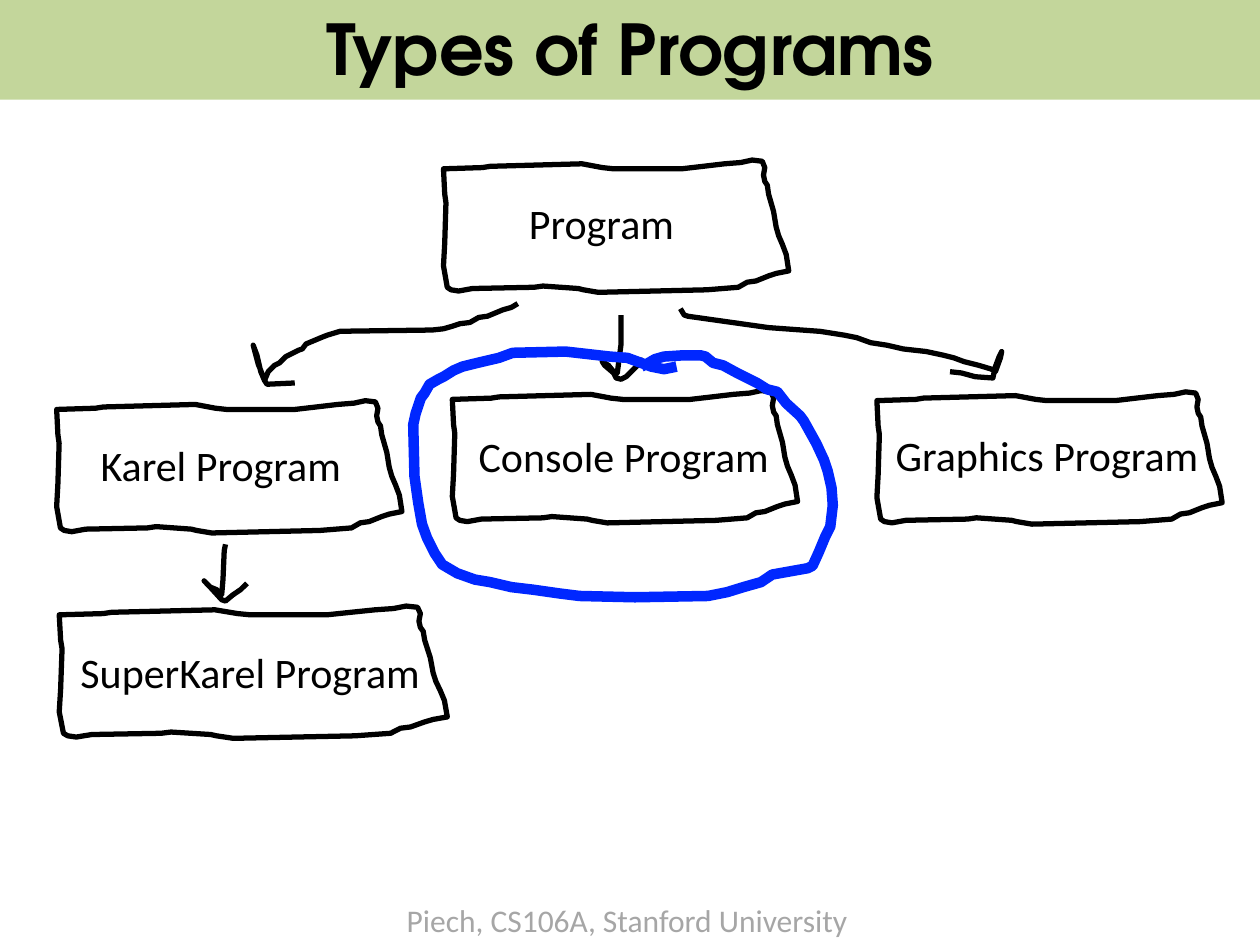
"""Build the "Types of Programs" slide: a hand-drawn class tree with one class circled."""
from pptx import Presentation
from pptx.dml.color import RGBColor
from pptx.enum.shapes import MSO_SHAPE
from pptx.enum.text import MSO_ANCHOR, MSO_AUTO_SIZE, PP_ALIGN
from pptx.util import Inches, Pt

BLACK = RGBColor(0x00, 0x00, 0x00)
GREEN = RGBColor(0xC3, 0xD6, 0x9B)
GRAY = RGBColor(0xA6, 0xA6, 0xA6)
BLUE = RGBColor(0x00, 0x27, 0xFF)

TITLE = "Types of Programs"
FOOTER = ("Piech, CS106A, Stanford University", 3.13, 7.1, 3.74, 0.4)

BOX_WIDTH = 2.74
BOXES = [
    ((3.59, 3.10, 2.74), ("Console Program", 3.70, 3.37, 2.52, 0.5)),
    ((0.45, 3.18, 2.74), ("Karel Program", 0.70, 3.44, 2.13, 0.5)),
    ((6.96, 3.11, 2.74), ("Graphics Program", 7.01, 3.36, 2.63, 0.5)),
    ((0.47, 4.81, 3.08), ("SuperKarel Program", 0.54, 5.08, 2.92, 0.5)),
    ((3.52, 1.27, 2.74), ("Program", 4.10, 1.52, 1.36, 0.5)),
]
BOX_OUTLINE = [
    (1.89, 0.07), (1.35, 0.07), (1.26, 0.06), (1.10, 0.03), (0.37, 0.05), (0.31, 0.06),
    (0, 0.07), (0.01, 0.27), (0.02, 0.34), (0.01, 0.66), (0, 0.84), (0.03, 1.01),
    (0.06, 1.03), (0.12, 1.04), (0.23, 1.02), (0.72, 1.01), (0.79, 1.00), (1.07, 1.02),
    (1.11, 1.03), (1.23, 1.05), (2.09, 1.03), (2.34, 1.01), (2.41, 0.97), (2.48, 0.96),
    (2.58, 0.92), (2.64, 0.90), (2.74, 0.88), (2.72, 0.75), (2.69, 0.67), (2.66, 0.60),
    (2.64, 0.53), (2.62, 0.41), (2.58, 0.27), (2.57, 0.20), (2.55, 0.17), (2.54, 0.12),
    (2.55, 0.06), (2.53, 0.01), (2.45, 0), (2.36, 0.02), (2.23, 0.03), (2.06, 0.05),
]

ARROWS = [
    [(4.11, 2.41), (4.06, 2.44), (3.99, 2.46), (3.87, 2.51), (3.80, 2.52), (3.73, 2.56),
     (3.65, 2.57), (3.59, 2.59), (3.52, 2.61), (3.43, 2.62), (2.70, 2.63), (2.60, 2.66),
     (2.55, 2.68), (2.43, 2.73), (2.40, 2.77), (2.37, 2.78), (2.27, 2.83), (2.22, 2.88),
     (2.18, 2.90), (2.13, 2.95), (2.10, 3.02), (2.07, 2.95), (2.04, 2.82), (2.01, 2.74),
     (2.05, 2.89), (2.07, 2.94), (2.10, 3.02), (2.12, 3.05), (2.34, 3.04)],
    [(4.93, 2.50), (4.93, 2.73), (4.90, 2.96), (4.87, 2.95), (4.83, 2.90), (4.78, 2.87),
     (4.80, 2.90), (4.87, 2.96), (4.89, 3.00), (4.93, 3.01), (4.97, 2.99), (5.01, 2.95),
     (5.06, 2.90), (5.11, 2.85)],
    [(5.40, 2.45), (5.43, 2.50), (5.46, 2.51), (6.10, 2.60), (6.51, 2.63), (6.70, 2.66),
     (6.80, 2.68), (6.91, 2.72), (7.04, 2.74), (7.17, 2.77), (7.35, 2.79), (7.49, 2.82),
     (7.57, 2.84), (7.65, 2.87), (7.77, 2.90), (7.87, 2.93), (7.90, 2.95), (7.94, 2.84),
     (7.95, 2.79), (7.93, 2.83), (7.90, 2.91), (7.88, 3.00), (7.74, 2.99), (7.63, 2.96),
     (7.54, 2.95)],
    [(1.79, 4.32), (1.78, 4.37), (1.77, 4.60), (1.76, 4.72), (1.72, 4.68), (1.67, 4.66),
     (1.62, 4.61), (1.66, 4.65), (1.76, 4.76), (1.79, 4.77), (1.85, 4.72), (1.91, 4.68),
     (1.96, 4.63)],
]
HIGHLIGHT = [
    (5.37, 2.91), (5.27, 2.93), (5.17, 2.91), (4.98, 2.84), (4.84, 2.83), (4.49, 2.79),
    (4.07, 2.80), (3.96, 2.84), (3.79, 2.88), (3.67, 2.91), (3.60, 2.94), (3.52, 2.99),
    (3.48, 3.01), (3.41, 3.05), (3.37, 3.12), (3.34, 3.16), (3.30, 3.28), (3.28, 3.37),
    (3.29, 3.78), (3.32, 3.99), (3.35, 4.16), (3.39, 4.27), (3.45, 4.39), (3.51, 4.48),
    (3.63, 4.55), (3.77, 4.60), (3.89, 4.62), (4.06, 4.66), (4.23, 4.68), (4.44, 4.71),
    (4.60, 4.73), (5.04, 4.74), (5.62, 4.73), (5.77, 4.70), (5.90, 4.66), (6.04, 4.62),
    (6.13, 4.56), (6.24, 4.54), (6.41, 4.51), (6.45, 4.49), (6.50, 4.38), (6.55, 4.26),
    (6.59, 4.18), (6.61, 4.01), (6.60, 3.87), (6.57, 3.74), (6.54, 3.65), (6.48, 3.52),
    (6.38, 3.34), (6.35, 3.30), (6.24, 3.20), (6.17, 3.11), (6.09, 3.09), (6.01, 3.04),
    (5.93, 3.00), (5.85, 2.96), (5.74, 2.90), (5.66, 2.88), (5.60, 2.83), (5.56, 2.82),
    (5.42, 2.82), (5.27, 2.83), (5.20, 2.85), (5.13, 2.89), (5.09, 2.91),
]


def add_run(p, text, size, color, font="Calibri", bold=False):
    r = p.add_run()
    r.text = text
    r.font.name = font
    r.font.size = Pt(size)
    r.font.bold = bold
    r.font.color.rgb = color


def add_label(s, label, size, color):
    text, *place = label
    tf = s.shapes.add_textbox(*map(Inches, place)).text_frame
    tf.word_wrap = False
    tf.auto_size = MSO_AUTO_SIZE.SHAPE_TO_FIT_TEXT
    add_run(tf.paragraphs[0], text, size, color)


def add_stroke(s, points, color=BLACK, width=3, close=False):
    start, *rest = [(Inches(x), Inches(y)) for x, y in points]
    builder = s.shapes.build_freeform(*start)
    builder.add_line_segments(rest, close=close)
    sp = builder.convert_to_shape()
    sp.shadow.inherit = False
    sp.fill.background()
    sp.line.color.rgb = color
    sp.line.width = Pt(width)


def add_title(s):
    sp = s.shapes.add_shape(MSO_SHAPE.RECTANGLE, 0, Inches(-0.03), Inches(10), Inches(0.82))
    sp.shadow.inherit = False
    sp.fill.solid()
    sp.fill.fore_color.rgb = GREEN
    sp.line.fill.background()
    tf = sp.text_frame
    tf.vertical_anchor = MSO_ANCHOR.MIDDLE
    p = tf.paragraphs[0]
    p.alignment = PP_ALIGN.CENTER
    add_run(p, TITLE, 40, BLACK, "TeX Gyre Adventor", True)


def main():
    prs = Presentation()
    prs.slide_width, prs.slide_height = Inches(10), Inches(7.5)
    s = prs.slides.add_slide(prs.slide_layouts[6])
    add_label(s, FOOTER, 18, GRAY)
    add_title(s)
    for (left, top, width), label in BOXES:
        stretch = width / BOX_WIDTH
        add_stroke(s, [(left + x * stretch, top + y) for x, y in BOX_OUTLINE], close=True)
        add_label(s, label, 24, BLACK)
    for arrow in ARROWS:
        add_stroke(s, arrow)
    add_stroke(s, HIGHLIGHT, BLUE, 6)
    prs.save("out.pptx")


if __name__ == "__main__":
    main()
